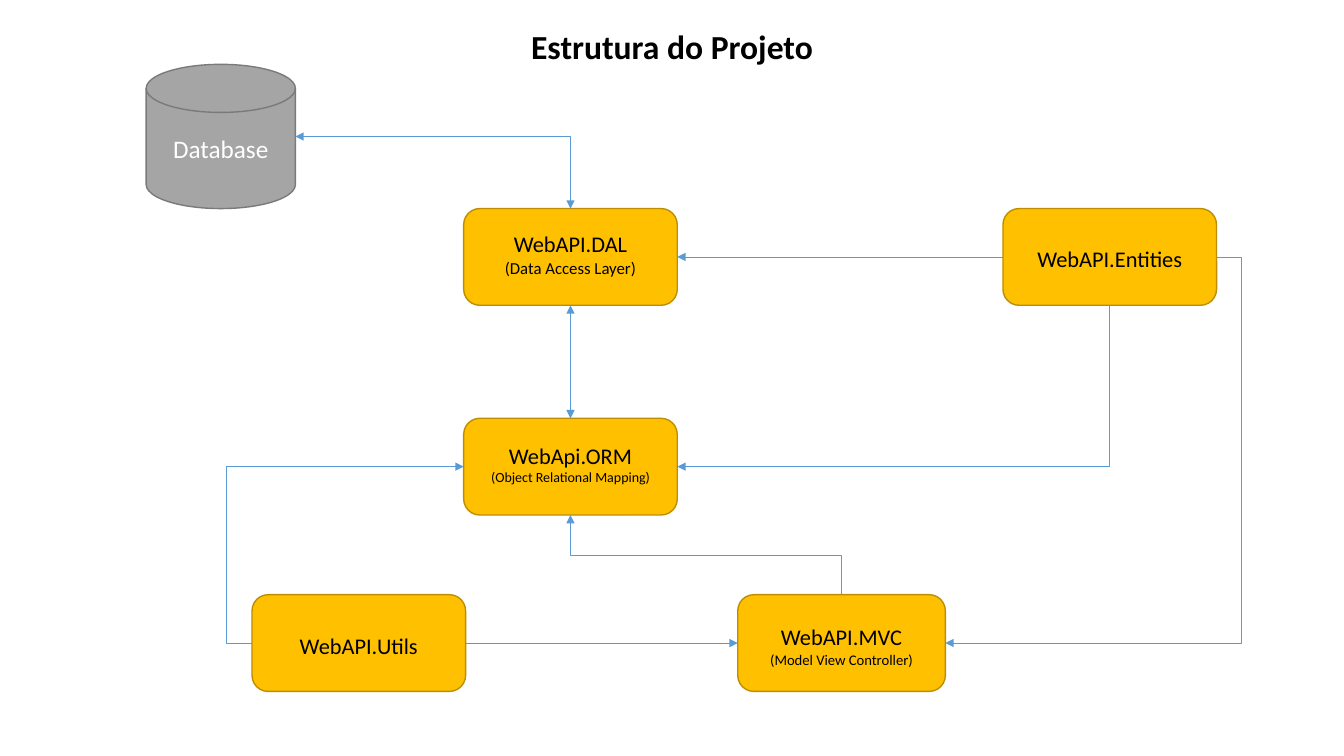
"""Build the project structure diagram slide."""
from dataclasses import dataclass

from lxml.etree import SubElement
from pptx import Presentation
from pptx.dml.color import RGBColor
from pptx.enum.shapes import MSO_CONNECTOR as Connector, MSO_SHAPE as Preset
from pptx.enum.text import MSO_ANCHOR as Anchor, PP_ALIGN as Align
from pptx.oxml.ns import qn
from pptx.util import Pt


@dataclass(frozen=True)
class Theme:
    font: str = "Calibri"
    ink: str = "000000"
    white: str = "FFFFFF"
    module_fill: str = "FFC000"
    module_line: str = "BD8E00"
    store_fill: str = "A5A5A5"
    store_line: str = "7A7A7A"
    arrow: str = "5B9BD5"
    title_size: float = 24
    store_size: float = 18
    name_size: float = 16
    access_size: float = 12
    controller_size: float = 10.5
    mapping_size: float = 10
    border: float = 1
    arrow_width: float = 0.5
    inset: float = 4


class Diagram:
    SIDES = {"top": (0.5, 0), "left": (0, 0.5), "bottom": (0.5, 1), "right": (1, 0.5)}
    BOX_SITES = {"top": 0, "left": 1, "bottom": 2, "right": 3}
    DISK_SITES = {"top": 1, "left": 2, "bottom": 3, "right": 4}

    def __init__(self, slide, theme):
        self.slide = slide
        self.theme = theme

    def label(self, shape, lines, color, bold=False):
        frame = shape.text_frame
        frame.word_wrap = True
        frame.text = "\n".join(text for text, size in lines)
        for paragraph, (text, size) in zip(frame.paragraphs, lines):
            paragraph.alignment = Align.CENTER
            font = paragraph.runs[0].font
            font.name, font.size, font.bold = self.theme.font, Pt(size), bold
            font.color.rgb = RGBColor.from_string(color)

    def title(self, text, left, top, width, height):
        box = self.slide.shapes.add_textbox(Pt(left), Pt(top), Pt(width), Pt(height))
        self.label(box, [(text, self.theme.title_size)], self.theme.ink, bold=True)

    def node(self, preset, left, top, width, height, fill, line):
        shape = self.slide.shapes.add_shape(preset, Pt(left), Pt(top), Pt(width), Pt(height))
        shape.shadow.inherit = False
        shape.fill.solid()
        shape.fill.fore_color.rgb = RGBColor.from_string(fill)
        shape.line.color.rgb = RGBColor.from_string(line)
        shape.line.width = Pt(self.theme.border)
        shape.text_frame.vertical_anchor = Anchor.MIDDLE
        return shape

    def module(self, name, left, top, width=152.6, height=69.1, detail=None, nudge=0):
        theme = self.theme
        shape = self.node(Preset.ROUNDED_RECTANGLE, left, top, width, height,
                          theme.module_fill, theme.module_line)
        self.label(shape, [(name, theme.name_size)] + ([detail] if detail else []), theme.ink)
        frame = shape.text_frame
        frame.margin_left = frame.margin_right = Pt(theme.inset)
        frame.margin_top = Pt(theme.inset + nudge)
        frame.margin_bottom = Pt(theme.inset - nudge)
        return shape

    def store(self, name, left, top, width, height):
        theme = self.theme
        shape = self.node(Preset.FLOWCHART_MAGNETIC_DISK, left, top, width, height,
                          theme.store_fill, theme.store_line)
        self.label(shape, [(name, theme.store_size)], theme.white)
        return shape

    def anchor(self, shape, side):
        across, down = self.SIDES[side]
        return shape.left + shape.width * across, shape.top + shape.height * down

    def arrow(self, source, source_side, target, target_side, bends=3, bend=50, both=False):
        x1, y1 = self.anchor(source, source_side)
        x2, y2 = self.anchor(target, target_side)
        run, rise, rotation = x2 - x1, y2 - y1, 0
        if source_side in ("top", "bottom"):
            rotation = 90 if rise > 0 else 270
            run, rise = abs(rise), -run if rise > 0 else run
        middle_x, middle_y = (x1 + x2) / 2, (y1 + y2) / 2
        connector = self.slide.shapes.add_connector(
            Connector.ELBOW,
            round(middle_x - run / 2), round(middle_y - rise / 2),
            round(middle_x + run / 2), round(middle_y + rise / 2))
        connector.element.spPr.find(qn("a:xfrm")).set("rot", str(rotation * 60000))
        connector.line.color.rgb = RGBColor.from_string(self.theme.arrow)
        connector.line.width = Pt(self.theme.arrow_width)
        properties = connector.element.spPr
        geometry = properties.find(qn("a:prstGeom"))
        geometry.set("prst", f"bentConnector{bends}")
        if bends == 3:
            SubElement(geometry.find(qn("a:avLst")), qn("a:gd"),
                       name="adj1", fmla=f"val {round(bend * 1000)}")
        line = properties.find(qn("a:ln"))
        for tag in ("a:headEnd", "a:tailEnd") if both else ("a:tailEnd",):
            SubElement(line, qn(tag), type="triangle")
        SubElement(properties, qn("a:effectLst"))
        links = next(connector.element.iter(qn("p:cNvCxnSpPr")))
        for tag, shape, side in (("a:stCxn", source, source_side), ("a:endCxn", target, target_side)):
            disk = shape.auto_shape_type == Preset.FLOWCHART_MAGNETIC_DISK
            sites = self.DISK_SITES if disk else self.BOX_SITES
            SubElement(links, qn(tag), id=str(shape.shape_id), idx=str(sites[side]))


theme = Theme()
presentation = Presentation()
presentation.slide_width, presentation.slide_height = Pt(960), Pt(540)
diagram = Diagram(presentation.slides.add_slide(presentation.slide_layouts[6]), theme)

center_column = 331.2
upper_row, middle_row, lower_row = 149, 298.8, 424.8

diagram.title("Estrutura do Projeto", 0, 15, 960, 36)
database = diagram.store("Database", 104.4, 46, 106.6, 103)
access = diagram.module("WebAPI.DAL", center_column, upper_row,
                        detail=("(Data Access Layer)", theme.access_size), nudge=-2)
mapping = diagram.module("WebApi.ORM", center_column, middle_row,
                         detail=("(Object Relational Mapping)", theme.mapping_size), nudge=-2)
entities = diagram.module("WebAPI.Entities", 716.4, upper_row, nudge=1)
utils = diagram.module("WebAPI.Utils", 180, lower_row, nudge=2)
controller = diagram.module("WebAPI.MVC", 527, lower_row, width=148.3,
                            detail=("(Model View Controller)", theme.controller_size), nudge=2)

diagram.arrow(database, "right", access, "top", bends=2, both=True)
diagram.arrow(access, "bottom", mapping, "top", both=True)
diagram.arrow(entities, "left", access, "right")
diagram.arrow(entities, "bottom", mapping, "right", bends=2)
diagram.arrow(entities, "right", controller, "right", bend=-9.3)
diagram.arrow(utils, "left", mapping, "left", bend=-11.9)
diagram.arrow(utils, "right", controller, "left")
diagram.arrow(controller, "top", mapping, "bottom")

presentation.save("out.pptx")
